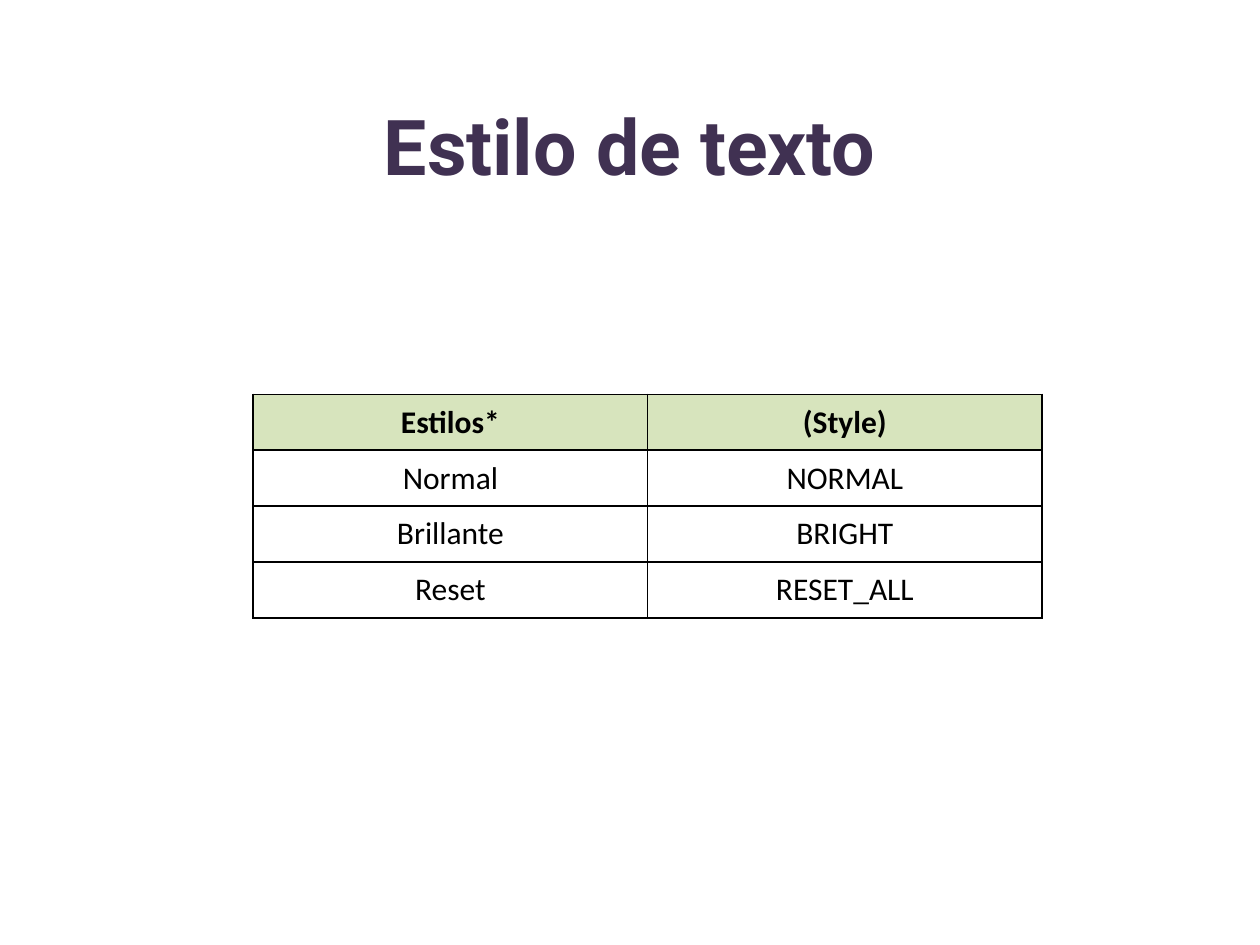
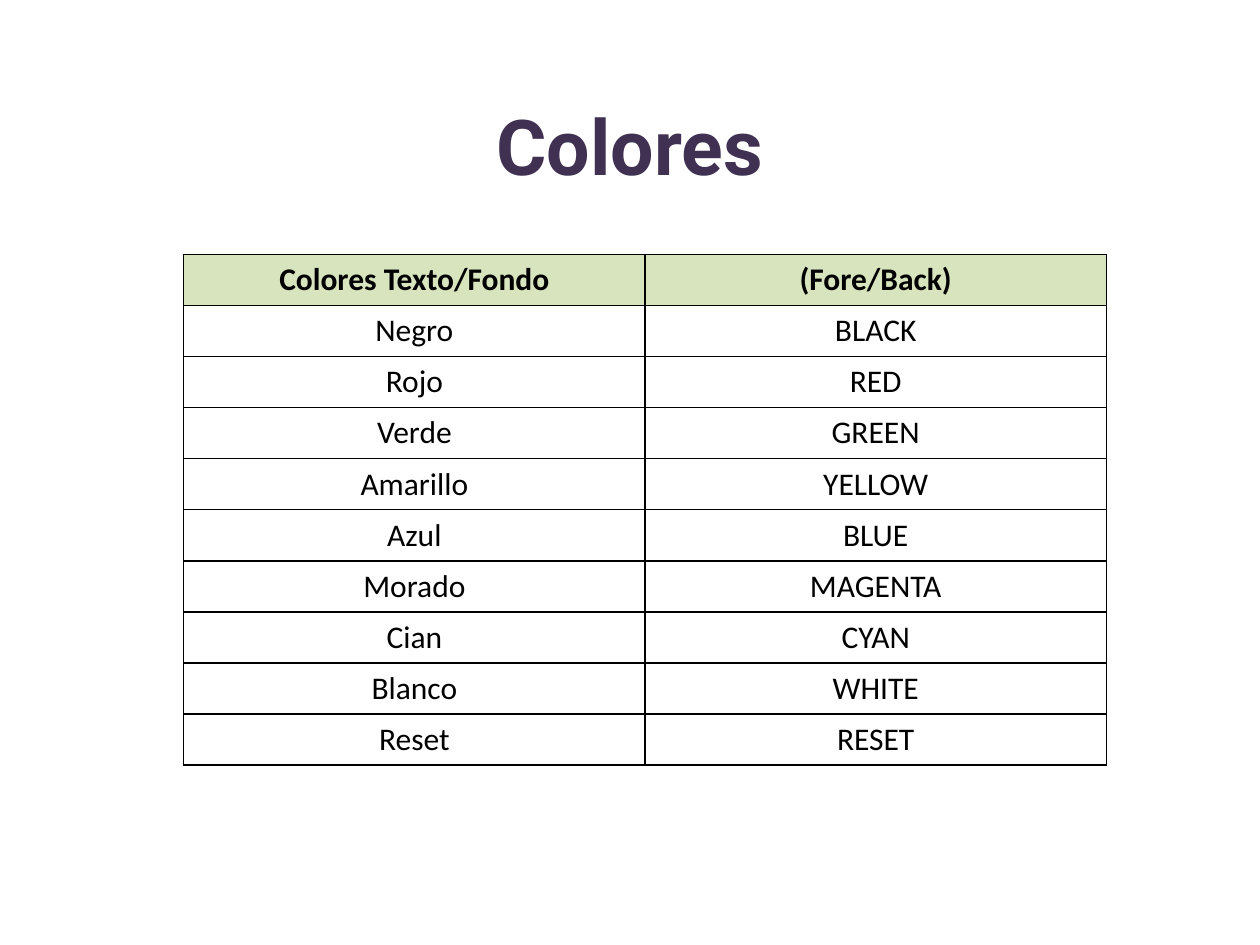
import dataclasses

import lxml.etree
import pptx
import pptx.dml.color
import pptx.enum.text
import pptx.oxml.ns
import pptx.util

Pt = pptx.util.Pt
RGB = pptx.dml.color.RGBColor.from_string
qn = pptx.oxml.ns.qn


@dataclasses.dataclass(frozen=True)
class Theme:
    title_color: str = "403152"
    text_color: str = "000000"
    border_color: str = "000000"
    header_fill: str = "D7E4BD"
    body_fill: str = "FFFFFF"
    title_font: str = "Roboto"
    table_font: str = "Calibri"
    title_size: float = 44
    table_size: float = 18
    border_width: float = 1


class Deck:
    def __init__(self, theme):
        self.theme = theme
        self.presentation = pptx.Presentation()
        self.presentation.slide_width = Pt(720)
        self.presentation.slide_height = Pt(540)
        self.slide = None

    def add_slide(self, heading):
        self.slide = self.presentation.slides.add_slide(self.presentation.slide_layouts[5])
        title = self.slide.shapes.title
        title.left, title.top = Pt(124.5), Pt(37.5)
        title.width, title.height = Pt(471), Pt(90)
        title.text_frame.text = heading
        title.text_frame.word_wrap = True
        title.text_frame.auto_size = pptx.enum.text.MSO_AUTO_SIZE.NONE
        title.text_frame.vertical_anchor = pptx.enum.text.MSO_ANCHOR.MIDDLE
        self.style_text(title.text_frame, self.theme.title_font, self.theme.title_size,
                        self.theme.title_color, True)

    def style_text(self, frame, font_name, size, color, bold):
        paragraph = frame.paragraphs[0]
        paragraph.alignment = pptx.enum.text.PP_ALIGN.CENTER
        font = paragraph.runs[0].font
        font.name, font.size, font.bold = font_name, Pt(size), bold
        font.color.rgb = RGB(color)

    def add_constants(self, rows, left, top, column_width, row_height, margins):
        columns = len(rows[0])
        table = self.slide.shapes.add_table(
            len(rows), columns, Pt(left), Pt(top),
            Pt(column_width * columns), Pt(row_height * len(rows))).table
        for column in table.columns:
            column.width = Pt(column_width)
        for row_index, values in enumerate(rows):
            table.rows[row_index].height = Pt(row_height)
            for column_index, value in enumerate(values):
                self.fill_cell(table.cell(row_index, column_index), value,
                               row_index == 0, margins)

    def fill_cell(self, cell, value, is_header, margins):
        theme = self.theme
        cell.text_frame.text = value
        cell.vertical_anchor = pptx.enum.text.MSO_ANCHOR.MIDDLE
        side, edge = margins
        cell.margin_left = cell.margin_right = Pt(side)
        cell.margin_top = cell.margin_bottom = Pt(edge)
        self.style_text(cell.text_frame, theme.table_font, theme.table_size,
                        theme.text_color, is_header)
        self.border_cell(cell)
        cell.fill.solid()
        cell.fill.fore_color.rgb = RGB(theme.header_fill if is_header else theme.body_fill)

    def border_cell(self, cell):
        properties = cell._tc.get_or_add_tcPr()
        for side in ("lnL", "lnR", "lnT", "lnB"):
            line = lxml.etree.SubElement(properties, qn(f"a:{side}"),
                                         w=str(Pt(self.theme.border_width)))
            fill = lxml.etree.SubElement(line, qn("a:solidFill"))
            lxml.etree.SubElement(fill, qn("a:srgbClr"), val=self.theme.border_color)


STYLES = [
    ("Estilos*", "(Style)"),
    ("Normal", "NORMAL"),
    ("Brillante", "BRIGHT"),
    ("Reset", "RESET_ALL"),
]

COLORS = [
    ("Colores Texto/Fondo", "(Fore/Back)"),
    ("Negro", "BLACK"),
    ("Rojo", "RED"),
    ("Verde", "GREEN"),
    ("Amarillo", "YELLOW"),
    ("Azul", "BLUE"),
    ("Morado", "MAGENTA"),
    ("Cian", "CYAN"),
    ("Blanco", "WHITE"),
    ("Reset", "RESET"),
]


def main():
    deck = Deck(Theme())
    deck.add_slide("Estilo de texto")
    deck.add_constants(STYLES, left=144.7, top=225.3, column_width=225.4,
                       row_height=32, margins=(5, 5))
    deck.add_slide("Colores")
    deck.add_constants(COLORS, left=105, top=145.3, column_width=263.6,
                       row_height=29.2, margins=(7.2, 3.6))
    deck.presentation.save("out.pptx")


if __name__ == "__main__":
    main()
